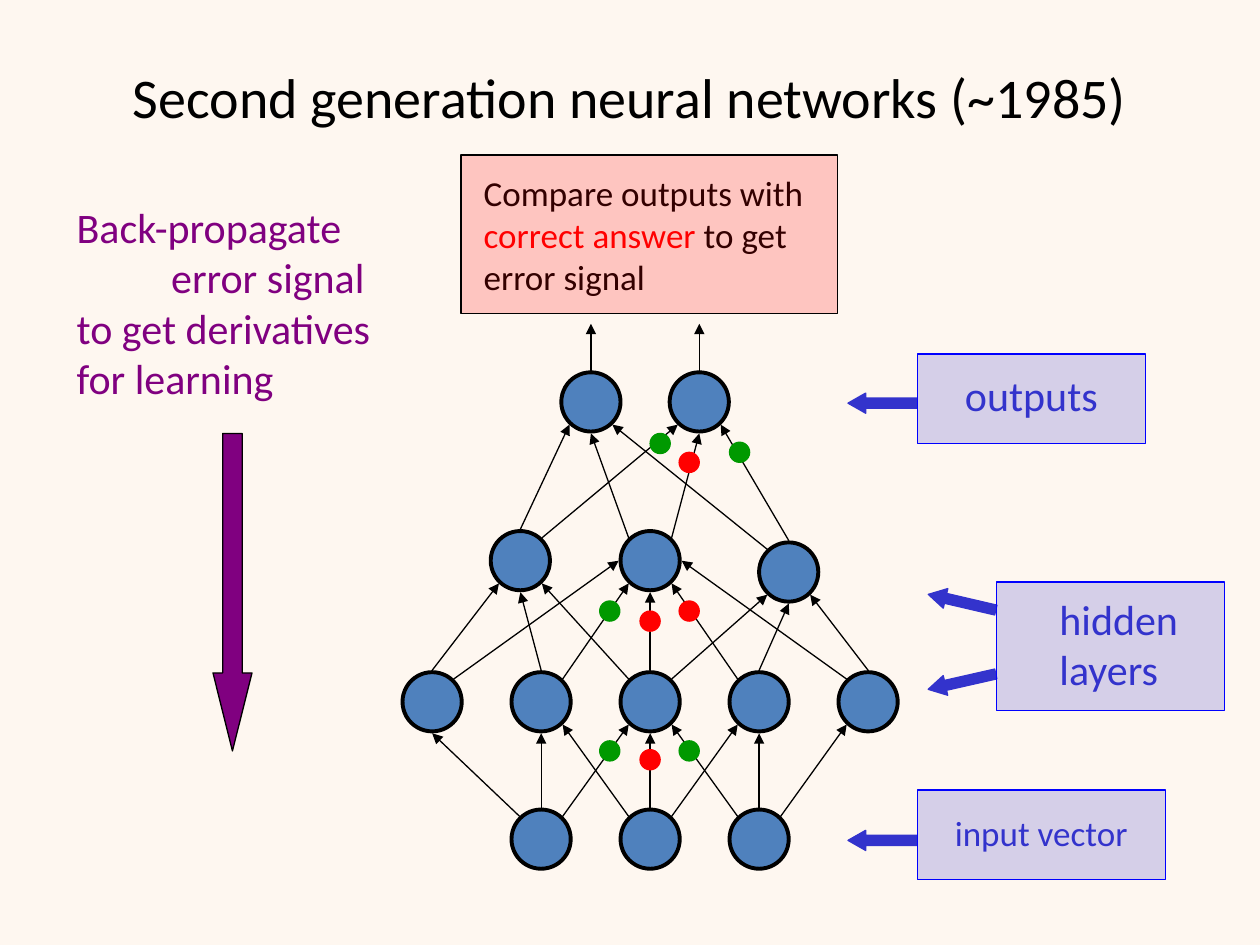
import pptx
import pptx.util
import pptx.dml.color
import pptx.enum.shapes
import pptx.enum.text
import pptx.oxml.ns
from lxml import etree

Inches, Pt = pptx.util.Inches, pptx.util.Pt
RGB = pptx.dml.color.RGBColor.from_string
KIND = pptx.enum.shapes.MSO_SHAPE
qn = pptx.oxml.ns.qn
INK = {"back": "FEF7F0", "black": "000000", "node": "4F81BD", "label": "3333CC",
       "edge": "0000FF", "green": "009900", "red": "FF0000", "purple": "800080"}

deck = pptx.Presentation()
deck.slide_width, deck.slide_height = Inches(10), Inches(7.5)
slide = deck.slides.add_slide(deck.slide_layouts[5])
slide.background.fill.solid()
slide.background.fill.fore_color.rgb = RGB(INK["back"])


def write(par, text, size=24, color="black", align=None):
    run = par.add_run()
    run.text = text
    run.font.name, run.font.size = "Calibri", Pt(size)
    run.font.color.rgb = RGB(INK[color])
    if align is not None:
        par.alignment = align


def draw(kind, x, y, w, h, fill, line, width=0.75, alpha=None):
    shape = slide.shapes.add_shape(kind, Inches(x), Inches(y), Inches(w), Inches(h))
    shape.shadow.inherit = False
    shape.fill.solid()
    shape.fill.fore_color.rgb = RGB(INK[fill])
    shape.line.color.rgb = RGB(INK[line])
    shape.line.width = Pt(width)
    if alpha:
        tint = shape.fill._xPr.find(qn("a:solidFill"))[0]
        etree.SubElement(tint, qn("a:alpha"), val=str(alpha * 1000))
    return shape


# Title
title = slide.shapes.title
title.left, title.top = Inches(0.5), Inches(0.13)
title.width, title.height = Inches(9), Inches(1.27)
title.text_frame.vertical_anchor = pptx.enum.text.MSO_ANCHOR.MIDDLE
write(title.text_frame.paragraphs[0], "Second generation neural networks (~1985)",
      size=32, align=pptx.enum.text.PP_ALIGN.CENTER)

# Text boxes: place, then paragraphs of (left indent, size, runs)
notes = [
    ((7.48, 6.39, 1.77, 0.43), [(0, 20, [("input vector", "label")])]),
    ((8.31, 4.66, 1.26, 0.9), [(0, 24, [("hidden layers", "label")])]),
    ((7.56, 2.88, 1.69, 0.5), [(0, 24, [("outputs", "label")])]),
    ((0.51, 1.55, 2.68, 1.7), [
        (0, 24, [("Back-propagate", "purple")]),
        (0.75, 24, [("error signal", "purple")]),
        (0, 24, [("to get derivatives for learning", "purple")])]),
    ((3.74, 1.31, 2.99, 1.1), [(0, 20, [
        ("Compare outputs with ", "black"), ("correct answer", "red"),
        (" to get error signal", "black")])]),
]
for place, pars in notes:
    frame = slide.shapes.add_textbox(*map(Inches, place)).text_frame
    frame.word_wrap = True
    for i, (indent, size, runs) in enumerate(pars):
        par = frame.add_paragraph() if i else frame.paragraphs[0]
        if indent:
            par._p.get_or_add_pPr().set("marL", str(Inches(indent)))
        # The outputs label is centred in its box
        for words, color in runs:
            write(par, words, size=size, color=color)

# Nodes: centres of each layer, from the input up
STEP, SIZE = 0.865, 0.47
MID = 5.16
layers = [
    [(MID + STEP * i, 6.66) for i in (-1, 0, 1)],
    [(MID + STEP * i, 5.57) for i in (-2, -1, 0, 1, 2)],
    [(4.13, 4.45), (MID, 4.45), (6.26, 4.54)],
    [(4.69, 3.19), (5.55, 3.19)],
]
for layer in layers:
    for x, y in layer:
        draw(KIND.OVAL, x - SIZE / 2, y - SIZE / 2, SIZE, SIZE, "node", "black", width=2.25)

# Wires: each layer to the next, as (node, side, next node, side)
SIDE = {"n": (0, -0.25), "s": (0, 0.25), "w": (-0.25, 0), "e": (0.25, 0),
        "nw": (-0.17, -0.18), "ne": (0.17, -0.18),
        "sw": (-0.17, 0.18), "se": (0.17, 0.18)}
links = [
    [(0, "nw", 0, "s"), (0, "n", 1, "s"), (0, "ne", 2, "sw"),
     (1, "nw", 1, "se"), (1, "n", 2, "s"), (1, "ne", 3, "sw"),
     (2, "nw", 2, "se"), (2, "n", 3, "s"), (2, "ne", 4, "sw")],
    [(0, "n", 0, "sw"), (0, "ne", 1, "w"), (1, "n", 0, "s"), (1, "ne", 1, "sw"),
     (2, "nw", 0, "se"), (2, "n", 1, "s"), (2, "ne", 2, "sw"),
     (3, "nw", 1, "se"), (3, "n", 2, "s"), (4, "nw", 1, "e"), (4, "n", 2, "se")],
    [(0, "n", 0, "sw"), (0, "ne", 1, "sw"), (1, "nw", 0, "s"), (1, "ne", 1, "s"),
     (2, "nw", 0, "se"), (2, "n", 1, "se")],
]
wires = [(x, 2.95, x, 2.57) for x, y in layers[3]]
for low, high, pairs in zip(layers, layers[1:], links):
    for a, start, b, end in pairs:
        wires.append((low[a][0] + SIDE[start][0], low[a][1] + SIDE[start][1],
                      high[b][0] + SIDE[end][0], high[b][1] + SIDE[end][1]))
for ends in wires:
    wire = slide.shapes.add_connector(
        pptx.enum.shapes.MSO_CONNECTOR.STRAIGHT, *map(Inches, ends))
    wire.line.color.rgb = RGB(INK["black"])
    wire.line.width = Pt(0.75)
    etree.SubElement(wire.line._get_or_add_ln(), qn("a:tailEnd"), type="triangle")
    etree.SubElement(wire._element.spPr, qn("a:effectLst"))

# Arrows from the labels to the layers
for x, y, turn in [(6.73, 6.59, 0), (7.36, 4.7, 13.1), (6.73, 3.12, 0), (7.36, 5.33, 347.2)]:
    arrow = draw(KIND.LEFT_ARROW, x, y, 0.55, 0.16, "label", "label")
    arrow.adjustments[1] = 0.88
    arrow.rotation = turn

# Label frames, tinted over their text
for place in [(7.28, 2.81, 1.81, 0.71), (7.91, 4.62, 1.81, 1.02), (7.28, 6.27, 1.97, 0.71)]:
    draw(KIND.RECTANGLE, *place, "label", "edge", alpha=20)
draw(KIND.RECTANGLE, 3.66, 1.23, 2.99, 1.26, "red", "black", alpha=20)

# Error dots on the wires
dots = {"green": [(4.76, 5.88), (5.39, 5.88), (5.16, 3.44), (5.79, 3.51), (4.76, 4.77)],
        "red": [(5.39, 4.77), (5.08, 4.85), (5.08, 5.95), (5.39, 3.59)]}
for color, spots in dots.items():
    for x, y in spots:
        draw(KIND.OVAL, x, y, 0.16, 0.16, color, color)

# Back-propagation arrow
down = draw(KIND.DOWN_ARROW, 1.69, 3.44, 0.31, 2.52, "purple", "black")
down.adjustments[1] = 2

deck.save("out.pptx")
